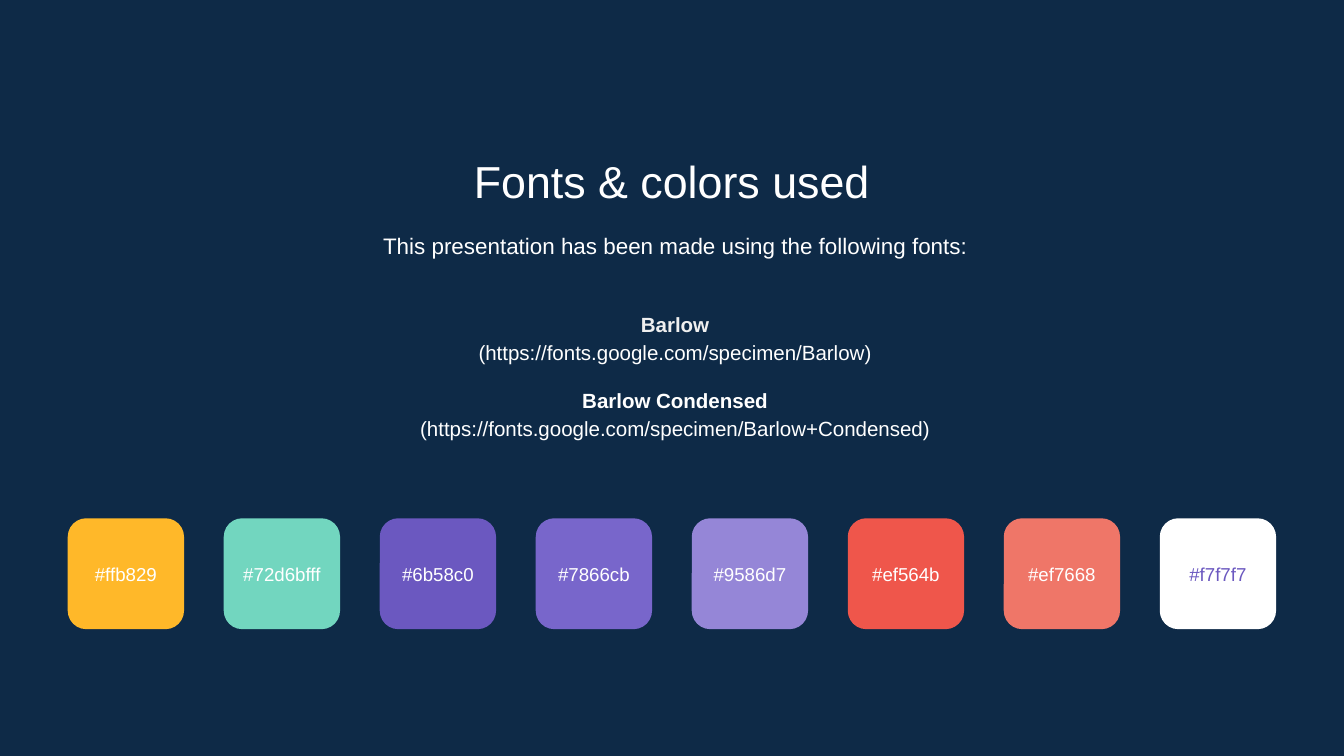
import pptx
import pptx.dml.color
import pptx.enum.shapes
import pptx.enum.text
import pptx.util

Pt = pptx.util.Pt
Anchor = pptx.enum.text.MSO_ANCHOR

COLORS = {
    "navy": "0E2A47",
    "white": "FFFFFF",
    "pale": "EFEFEF",
    "amber": "FFB829",
    "mint": "72D6BF",
    "purple": "6B58C0",
    "violet": "7866CB",
    "lilac": "9586D7",
    "red": "EF564B",
    "coral": "EF7668",
}


class Deck:
    """Holds the style and the current slide."""

    font = "Arial"
    inset = Pt(14.4)

    def __init__(self, width, height):
        self.file = pptx.Presentation()
        self.file.slide_width = Pt(width)
        self.file.slide_height = Pt(height)
        self.slide = self.file.slides.add_slide(self.file.slide_layouts[6])
        self.paint(self.slide.background.fill, "navy")

    def paint(self, fill, color):
        fill.solid()
        fill.fore_color.rgb = pptx.dml.color.RGBColor.from_string(COLORS[color])

    def text(self, box, lines, size, anchor=Anchor.TOP, spacing=None):
        frame = self.slide.shapes.add_textbox(*map(Pt, box)).text_frame
        frame.word_wrap = True
        frame.vertical_anchor = anchor
        frame.margin_left = frame.margin_right = self.inset
        frame.margin_top = frame.margin_bottom = self.inset
        frame.text = "\n".join(words for words, *rest in lines)
        for para, (words, color, bold, gap) in zip(frame.paragraphs, lines):
            para.alignment = pptx.enum.text.PP_ALIGN.CENTER
            if spacing:
                para.line_spacing = spacing
            if gap:
                para.space_before = Pt(gap)
            font = para.runs[0].font
            font.name = self.font
            font.size = Pt(size)
            font.bold = bold
            self.paint(font.fill, color)

    def swatch(self, left, top, width, height, fill, label, ink):
        kind = pptx.enum.shapes.MSO_SHAPE.ROUNDED_RECTANGLE
        tile = self.slide.shapes.add_shape(kind, Pt(left), Pt(top), Pt(width), Pt(height))
        tile.adjustments[0] = 0.167
        tile.shadow.inherit = False
        tile.line.fill.background()
        self.paint(tile.fill, fill)
        tall = 69
        box = (left, top + (height - tall) / 2, width, tall)
        self.text(box, [(label, ink, False, 0)], 20, Anchor.MIDDLE)


def main():
    deck = Deck(1440, 810)
    deck.text((165, 150.5, 1109.5, 76.3), [("Fonts & colors used", "white", False, 0)], 48)
    intro = "This presentation has been made using the following fonts:"
    deck.text((168.5, 229.7, 1109.5, 69), [(intro, "white", False, 0)], 24, spacing=1.15)
    fonts = [
        ("Barlow", "pale", True, 0),
        ("(https://fonts.google.com/specimen/Barlow)", "white", False, 0),
        ("Barlow Condensed", "white", True, 21),
        ("(https://fonts.google.com/specimen/Barlow+Condensed)", "white", False, 0),
    ]
    deck.text((168.5, 302.4, 1109.5, 197.3), fonts, 22, Anchor.MIDDLE, 1.15)

    swatches = [
        ("amber", "#ffb829", "white"),
        ("mint", "#72d6bfff", "white"),
        ("purple", "#6b58c0", "white"),
        ("violet", "#7866cb", "white"),
        ("lilac", "#9586d7", "white"),
        ("red", "#ef564b", "white"),
        ("coral", "#ef7668", "white"),
        ("white", "#f7f7f7", "purple"),
    ]
    for index, (fill, label, ink) in enumerate(swatches):
        deck.swatch(72.6 + index * 167.15, 555.3, 124.6, 118.8, fill, label, ink)
    deck.file.save("out.pptx")


if __name__ == "__main__":
    main()
